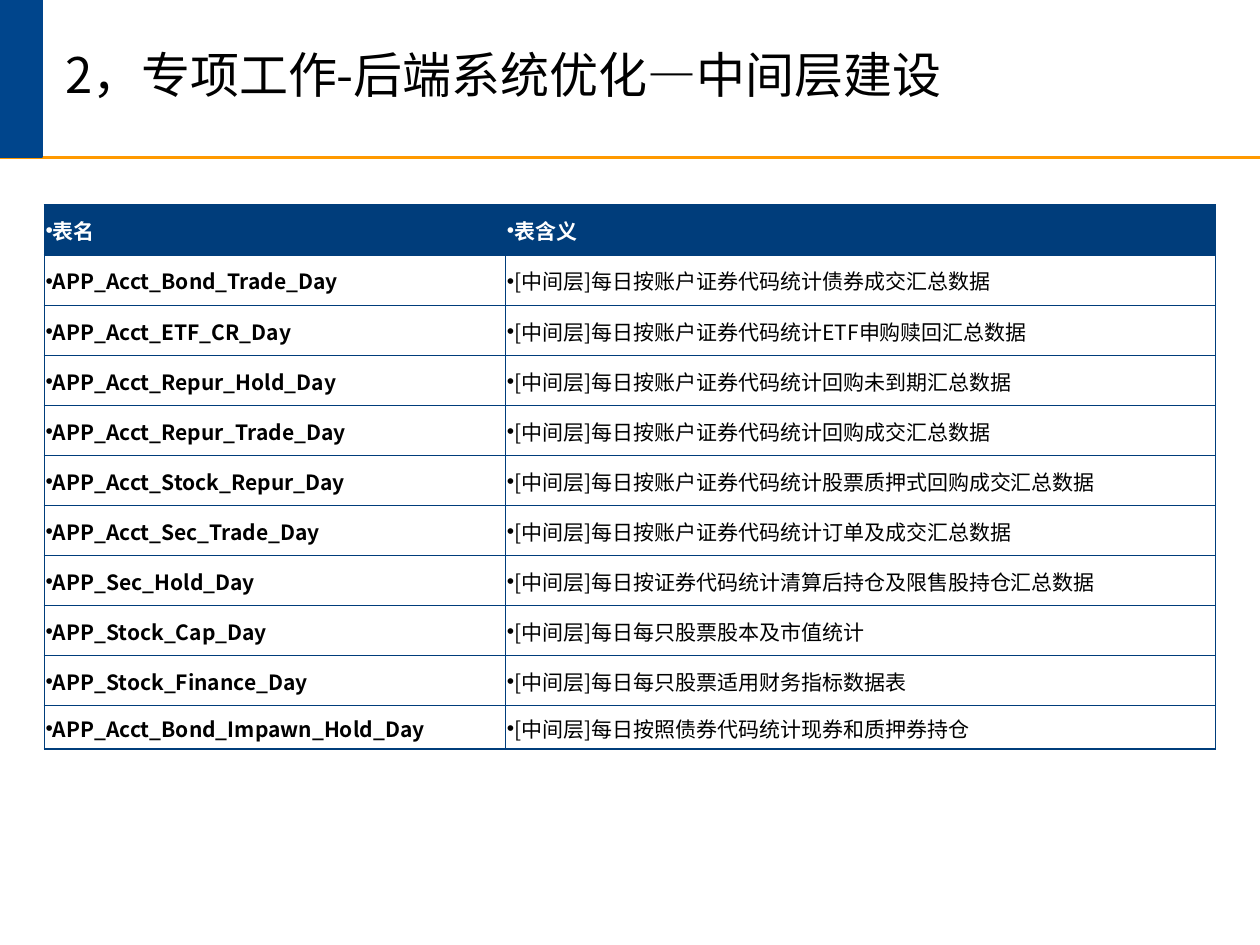
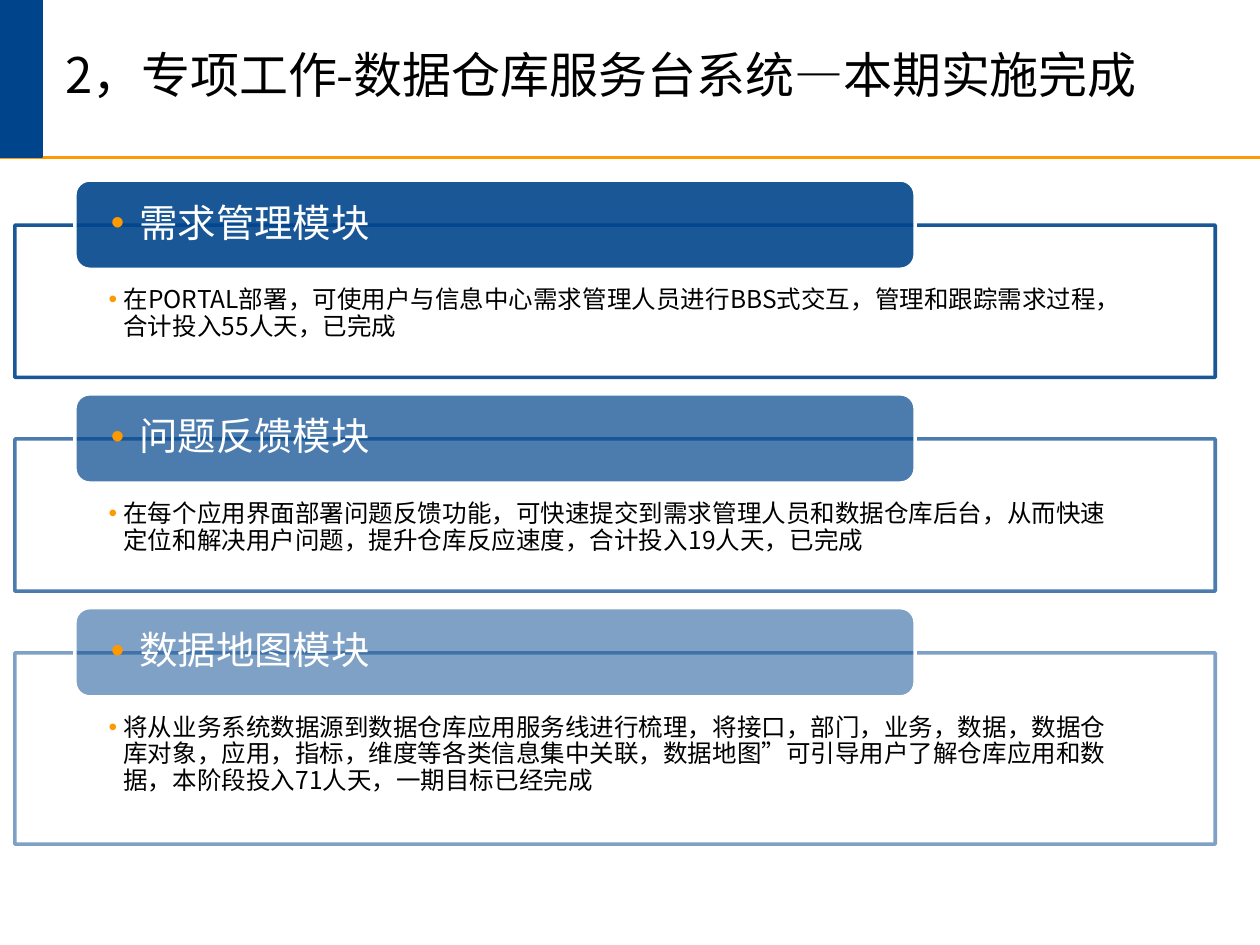
from lxml.etree import SubElement
from pptx import Presentation
from pptx.dml.color import RGBColor
from pptx.enum.shapes import MSO_CONNECTOR, MSO_SHAPE
from pptx.enum.text import MSO_ANCHOR, MSO_AUTO_SIZE, PP_ALIGN
from pptx.oxml.ns import qn
from pptx.util import Cm, Pt

FONT = "Noto Sans CJK SC"
DOT_FONT = "Arial"
HUES = {"blue": "00458C", "navy": "003D7B", "gold": "FF9900",
        "white": "FFFFFF", "black": "000000"}
WIDE, HIGH = 25.4, 19.05
HEAD = 3.17

TABLES = [
    ("APP_Acct_Bond_Trade_Day", "每日按账户证券代码统计债券成交汇总数据"),
    ("APP_Acct_ETF_CR_Day", "每日按账户证券代码统计ETF申购赎回汇总数据"),
    ("APP_Acct_Repur_Hold_Day", "每日按账户证券代码统计回购未到期汇总数据"),
    ("APP_Acct_Repur_Trade_Day", "每日按账户证券代码统计回购成交汇总数据"),
    ("APP_Acct_Stock_Repur_Day", "每日按账户证券代码统计股票质押式回购成交汇总数据"),
    ("APP_Acct_Sec_Trade_Day", "每日按账户证券代码统计订单及成交汇总数据"),
    ("APP_Sec_Hold_Day", "每日按证券代码统计清算后持仓及限售股持仓汇总数据"),
    ("APP_Stock_Cap_Day", "每日每只股票股本及市值统计"),
    ("APP_Stock_Finance_Day", "每日每只股票适用财务指标数据表"),
    ("APP_Acct_Bond_Impawn_Hold_Day", "每日按照债券代码统计现券和质押券持仓"),
]

# name, text, box height, opacity in percent
MODULES = [
    ("需求管理模块",
     "在PORTAL部署，可使用户与信息中心需求管理人员进行BBS式交互，"
     "管理和跟踪需求过程，合计投入55人天，已完成", 3.07, 90),
    ("问题反馈模块",
     "在每个应用界面部署问题反馈功能，可快速提交到需求管理人员和数据仓库后台，"
     "从而快速定位和解决用户问题，提升仓库反应速度，合计投入19人天，已完成", 3.07, 70),
    ("数据地图模块",
     "将从业务系统数据源到数据仓库应用服务线进行梳理，将接口，部门，业务，数据，"
     "数据仓库对象，应用，指标，维度等各类信息集中关联，数据地图”可引导用户了解"
     "仓库应用和数据，本阶段投入71人天，一期目标已经完成", 3.86, 50),
]


def rgb(hue):
    return RGBColor.from_string(HUES[hue])


def put(frame, text, size=12, hue="black", bold=False, space=1.0, before=0,
        anchor=MSO_ANCHOR.MIDDLE, pads=None, dot=False, dot_hue=None, hang=0):
    """Write one paragraph; pads are left, top, right, bottom in cm."""
    frame.word_wrap = True
    frame.vertical_anchor = anchor
    if pads:
        (frame.margin_left, frame.margin_top,
         frame.margin_right, frame.margin_bottom) = map(Cm, pads)
    para = frame.paragraphs[0]
    para.alignment = PP_ALIGN.LEFT
    para.line_spacing = space
    para.space_before = Pt(before)
    run = para.add_run()
    run.text = text
    font = run.font
    font.size, font.bold, font.name = Pt(size), bold, FONT
    font.color.rgb = rgb(hue)
    SubElement(run._r.get_or_add_rPr(), qn("a:ea"), typeface=FONT)
    if dot:
        props = para._p.get_or_add_pPr()
        props.set("marL", str(Cm(hang)))
        props.set("indent", str(-Cm(hang)))
        if dot_hue:
            tint = SubElement(props, qn("a:buClr"))
            SubElement(tint, qn("a:srgbClr"), val=HUES[dot_hue])
        SubElement(props, qn("a:buFont"), typeface=DOT_FONT)
        SubElement(props, qn("a:buChar"), char="•")


class Deck:
    def __init__(self):
        self.prs = Presentation()
        self.prs.slide_width, self.prs.slide_height = Cm(WIDE), Cm(HIGH)
        self.slide = None

    def page(self, title):
        """Start a slide with the shared rule, corner block and title."""
        self.slide = self.prs.slides.add_slide(self.prs.slide_layouts[5])
        self.rule(0, HEAD, WIDE, HEAD)
        self.box(0, 0, 0.85, HEAD, "blue", "blue", 1)
        head = self.slide.shapes.title
        head.left, head.top, head.width, head.height = map(
            Cm, (1.06, 0, 23.7, HEAD))
        put(head.text_frame, title, size=28, space=0.85)
        head.text_frame.auto_size = MSO_AUTO_SIZE.NONE

    def rule(self, x1, y1, x2, y2):
        line = self.slide.shapes.add_connector(
            MSO_CONNECTOR.STRAIGHT, *map(Cm, (x1, y1, x2, y2)))
        line.line.color.rgb = rgb("gold")
        line.line.width = Pt(1.5)
        SubElement(line._element.spPr, qn("a:effectLst"))

    def box(self, x, y, w, h, fill, edge, width, alphas=(100, 100),
            kind=MSO_SHAPE.RECTANGLE):
        """Draw a shape; alphas are the opacity of fill and edge."""
        shape = self.slide.shapes.add_shape(kind, *map(Cm, (x, y, w, h)))
        shape.shadow.inherit = False
        shape.fill.solid()
        shape.fill.fore_color.rgb = rgb(fill)
        shape.line.color.rgb = rgb(edge)
        shape.line.width = Pt(width)
        tints = shape._element.spPr.iter(qn("a:srgbClr"))
        for tint, alpha in zip(tints, alphas):
            if alpha < 100:
                SubElement(tint, qn("a:alpha"), val=str(alpha * 1000))
        return shape

    def cell(self, cell, text, head, bold):
        props = cell._tc.get_or_add_tcPr()
        for side in "LRTB":
            edge = SubElement(props, qn("a:ln" + side), w=str(Pt(0.75)))
            fill = SubElement(edge, qn("a:solidFill"))
            SubElement(fill, qn("a:srgbClr"), val=HUES["navy"])
        cell.fill.solid()
        cell.fill.fore_color.rgb = rgb("navy" if head else "white")
        cell.vertical_anchor = MSO_ANCHOR.MIDDLE
        (cell.margin_left, cell.margin_top,
         cell.margin_right, cell.margin_bottom) = map(
            Cm, (0.03, 0.03, 0.03, 0))
        put(cell.text_frame, text, hue="white" if head else "black",
            bold=bold, before=2.4, dot=True)

    def table(self, x, y, cols, highs, rows):
        grid = self.slide.shapes.add_table(
            len(rows), len(cols),
            *map(Cm, (x, y, sum(cols), sum(highs)))).table
        grid.horz_banding = False
        for col, wide in zip(grid.columns, cols):
            col.width = Cm(wide)
        for r, (row, high) in enumerate(zip(rows, highs)):
            grid.rows[r].height = Cm(high)
            for c, text in enumerate(row):
                self.cell(grid.cell(r, c), text, r == 0, r == 0 or c == 0)

    def module(self, y, name, text, high, alpha):
        """Draw an outlined box with a rounded tab on its top edge."""
        body = self.box(0.3, y, 24.2, high, "white", "blue", 2, (90, alpha))
        put(body.text_frame, text, size=14, space=0.9, anchor=MSO_ANCHOR.TOP,
            pads=(1.89, 1.26, 1.88, 0.28), dot=True, dot_hue="gold", hang=0.3)
        tab = self.box(1.51, y - 0.91, 16.94, 1.8, "blue", "white", 2,
                       (alpha, 100), MSO_SHAPE.ROUNDED_RECTANGLE)
        put(tab.text_frame, name, size=22, hue="white", space=0.9,
            pads=(0.64, 0, 0.64, 0), dot=True, dot_hue="gold", hang=0.57)


def main():
    deck = Deck()

    deck.page("2，专项工作-后端系统优化—中间层建设")
    rows = [("表名", "表含义")]
    rows += [(name, "[中间层]" + use) for name, use in TABLES]
    deck.table(0.89, 4.13, (9.3, 14.32), [1.01] * len(TABLES) + [0.87], rows)

    deck.page("2，专项工作-数据仓库服务台系统—本期实施完成")
    for i, module in enumerate(MODULES):
        deck.module(4.54 + i * 4.31, *module)

    deck.prs.save("out.pptx")


if __name__ == "__main__":
    main()
